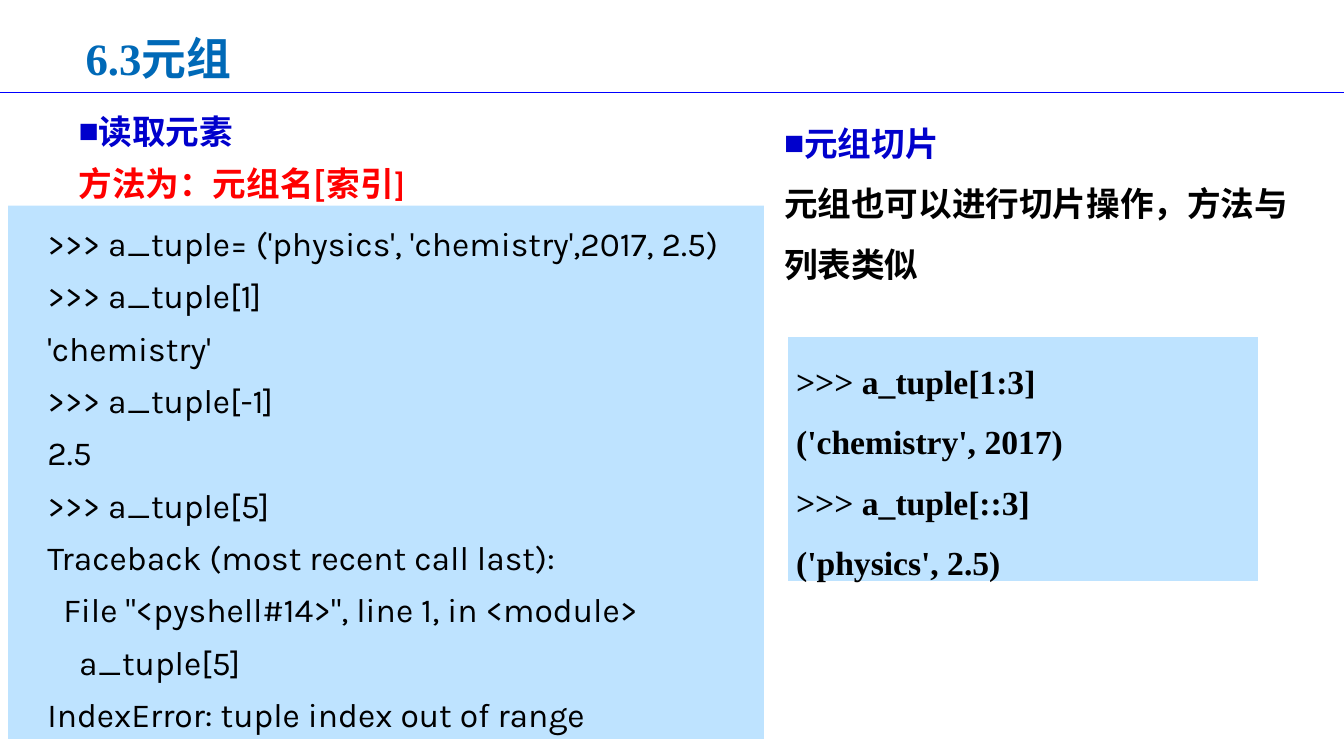
from dataclasses import dataclass

from lxml import etree
from pptx import Presentation
from pptx.dml.color import RGBColor
from pptx.enum.shapes import MSO_CONNECTOR, MSO_SHAPE
from pptx.enum.text import MSO_ANCHOR, PP_ALIGN
from pptx.oxml.ns import qn
from pptx.util import Pt

RECT = MSO_SHAPE.RECTANGLE
STRAIGHT = MSO_CONNECTOR.STRAIGHT
TOP, MIDDLE = MSO_ANCHOR.TOP, MSO_ANCHOR.MIDDLE
LEFT = PP_ALIGN.LEFT


@dataclass(frozen=True)
class Theme:
    title: str = "0069B7"
    head: str = "0000CC"
    alert: str = "FF0000"
    ink: str = "000000"
    panel: str = "BEE3FF"
    edge: str = "FFFFFF"
    rule: str = "0000FF"
    serif: str = "Times New Roman"
    sans: str = "Noto Sans CJK SC"
    code: str = "Karla"
    tail: str = "Calibri"
    large: float = 32
    body: float = 24


THEME = Theme()


@dataclass(frozen=True)
class Line:
    text: str
    color: str = THEME.ink
    bullet: bool = False
    tail: str = ""


@dataclass(frozen=True)
class Block:
    left: float
    top: float
    width: float
    height: float
    lines: tuple[Line, ...]
    font: str = THEME.serif
    size: float = THEME.body
    bold: bool = True
    space: float = 1.0
    indent: float = 0
    anchor: MSO_ANCHOR = TOP
    fill: str = ""
    edge: float = 0


def style(run, block: Block, color: str, font: str) -> None:
    run.font.name = font
    run.font.size = Pt(block.size)
    run.font.bold = block.bold
    run.font.color.rgb = RGBColor.from_string(color)
    asian = etree.SubElement(run.font._element, qn("a:ea"))
    asian.set("typeface", THEME.sans)


def write(para, block: Block, line: Line) -> None:
    para.text = line.text
    props = para._p.get_or_add_pPr()
    props.set("marL", "0")
    props.set("indent", str(Pt(block.indent)))
    if line.bullet:
        etree.SubElement(props, qn("a:buFont")).set("typeface", THEME.serif)
        etree.SubElement(props, qn("a:buChar")).set("char", "■")
    para.alignment = LEFT
    para.line_spacing = block.space
    style(para.runs[0], block, line.color, block.font)
    if line.tail:
        run = para.add_run()
        run.text = line.tail
        style(run, block, line.color, THEME.tail)


def draw(slide, block: Block) -> None:
    area = [Pt(n) for n in (block.left, block.top, block.width, block.height)]
    if block.fill:
        shape = slide.shapes.add_shape(RECT, *area)
        shape.shadow.inherit = False
        shape.fill.solid()
        shape.fill.fore_color.rgb = RGBColor.from_string(block.fill)
        if block.edge:
            shape.line.color.rgb = RGBColor.from_string(THEME.edge)
            shape.line.width = Pt(block.edge)
        else:
            shape.line.fill.background()
    else:
        shape = slide.shapes.add_textbox(*area)
    frame = shape.text_frame
    frame.word_wrap = True
    frame.vertical_anchor = block.anchor
    frame.text = "\n".join(line.text for line in block.lines)
    for para, line in zip(frame.paragraphs, block.lines):
        write(para, block, line)


def rule(slide, top: float, width: float) -> None:
    line = slide.shapes.add_connector(STRAIGHT, 0, Pt(top), Pt(width), Pt(top))
    line.line.color.rgb = RGBColor.from_string(THEME.rule)
    line.line.width = Pt(0.75)
    etree.SubElement(line._element.spPr, qn("a:effectLst"))


READ = (
    ">>> a_tuple= ('physics', 'chemistry',2017, 2.5)",
    ">>> a_tuple[1]",
    "'chemistry'",
    ">>> a_tuple[-1]",
    "2.5",
    ">>> a_tuple[5]",
    "Traceback (most recent call last):",
    '  File "<pyshell#14>", line 1, in <module>',
    "    a_tuple[5]",
    "IndexError: tuple index out of range",
)
SLICE = (
    ">>> a_tuple[1:3]",
    "('chemistry', 2017)",
    ">>> a_tuple[::3]",
    "('physics', 2.5)",
)

BLOCKS = (
    Block(5.76, 146.88, 540, 380.88, tuple(map(Line, READ)), font=THEME.code,
          bold=False, space=1.3, indent=21, fill=THEME.panel),
    Block(54, 18, 186.5, 46, (Line("6.3元组", THEME.title),),
          size=THEME.large, anchor=MIDDLE),
    Block(49, 67, 480, 79.2,
          (Line("读取元素", THEME.head, bullet=True),
           Line("方法为：元组名[索引", THEME.alert, tail="]")),
          font=THEME.sans, space=1.3),
    Block(561.6, 239.8, 338.4, 176.4, tuple(map(Line, SLICE)), space=1.5,
          fill=THEME.panel, edge=2.25),
    Block(553, 69.8, 383, 133.2,
          (Line("元组切片", THEME.head, bullet=True),
           Line("元组也可以进行切片操作，方法与列表类似")), space=1.5),
)


def main() -> None:
    deck = Presentation()
    deck.slide_width, deck.slide_height = Pt(960), Pt(540)
    slide = deck.slides.add_slide(deck.slide_layouts[6])
    rule(slide, 66.24, 960)
    for block in BLOCKS:
        draw(slide, block)
    deck.save("out.pptx")


if __name__ == "__main__":
    main()
